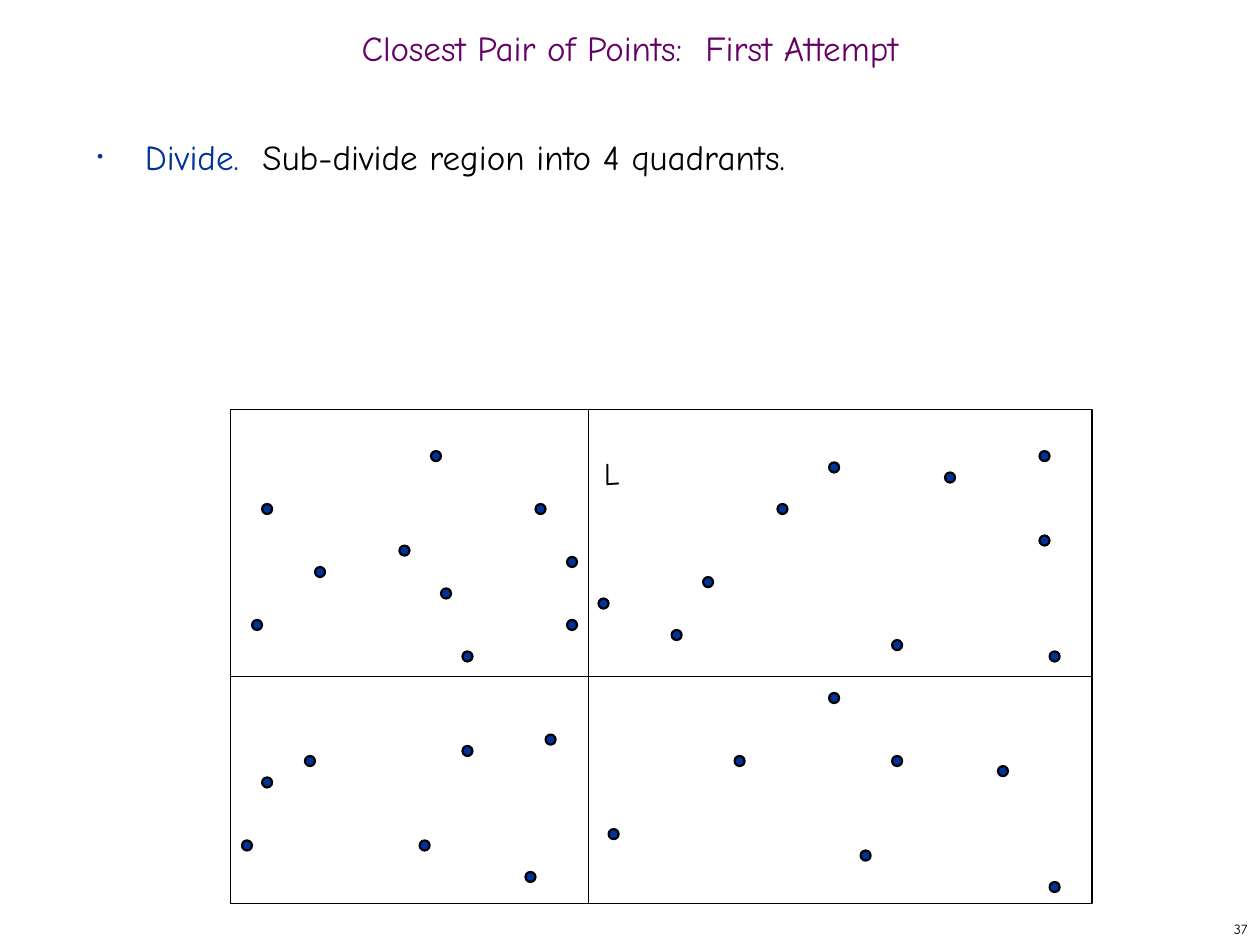
from lxml import etree
from pptx import Presentation
from pptx.dml.color import RGBColor
from pptx.enum.shapes import MSO_CONNECTOR, MSO_SHAPE
from pptx.enum.text import MSO_ANCHOR as Anchor, MSO_AUTO_SIZE as AutoSize, PP_ALIGN as Align
from pptx.oxml.ns import qn
from pptx.util import Inches, Pt

BLACK = RGBColor(0, 0, 0)
BLUE = RGBColor(0x00, 0x33, 0x99)
PURPLE = RGBColor(0x66, 0x00, 0x66)
FONT = "Comic Neue"
DOT_SIZE = 0.08
LEFT, TOP, RIGHT, BOTTOM = 1.83, 3.25, 8.67, 7.17
SPLIT_X, SPLIT_Y = 4.67, 5.37

POINTS = [
    (2.5, 4.5), (4.5, 4.42), (2.08, 4), (3.17, 4.33), (3.42, 3.58),
    (3.5, 4.67), (4.25, 4), (2, 4.92), (3.67, 5.17), (4.5, 4.92),
    (6.17, 4), (5.58, 4.58), (5.33, 5), (6.58, 3.67), (7.08, 5.08),
    (4.75, 4.75), (8.25, 4.25), (7.5, 3.75), (8.25, 3.58), (8.33, 5.17),
    (3.67, 5.92), (4.33, 5.83), (2.08, 6.17), (2.42, 6), (4.17, 6.92),
    (1.92, 6.67), (3.33, 6.67),
    (4.83, 6.58), (8.33, 7), (5.83, 6), (6.58, 5.5), (6.83, 6.75),
    (7.08, 6), (7.92, 6.08),
]


def place(shape, left, top, width, height, anchor):
    shape.left, shape.top = Inches(left), Inches(top)
    shape.width, shape.height = Inches(width), Inches(height)
    frame = shape.text_frame
    frame.word_wrap = True
    frame.auto_size = AutoSize.NONE
    frame.vertical_anchor = anchor
    return frame.paragraphs[0]


def add_run(paragraph, text, size, color):
    run = paragraph.add_run()
    run.text = text
    run.font.name = FONT
    run.font.size = Pt(size)
    run.font.color.rgb = color


presentation = Presentation()
presentation.slide_width = Inches(10)
presentation.slide_height = Inches(7.5)
slide = presentation.slides.add_slide(presentation.slide_layouts[1])
shapes = slide.shapes

title = place(shapes.title, 0, 0.17, 10, 0.5, Anchor.MIDDLE)
title.alignment = Align.CENTER
title.line_spacing = 0.7
add_run(title, "Closest Pair of Points:  First Attempt", 20, PURPLE)

body = place(slide.placeholders[1], 0.67, 1, 8.58, 5.92, Anchor.TOP)
body.line_spacing = Pt(26)
body.space_before = Pt(0)
properties = body._p.get_or_add_pPr()
properties.set("marL", str(Inches(0.38)))
properties.set("indent", str(Inches(-0.38)))
bullet_color = etree.SubElement(properties, qn("a:buClr"))
etree.SubElement(bullet_color, qn("a:srgbClr"), val=str(BLUE))
etree.SubElement(properties, qn("a:buSzPct"), val="50000")
etree.SubElement(properties, qn("a:buChar"), char="•")
add_run(body, "Divide.  ", 20, BLUE)
add_run(body, "Sub-divide region into 4 quadrants.", 20, BLACK)

region = shapes.add_shape(MSO_SHAPE.RECTANGLE, Inches(LEFT), Inches(TOP),
                          Inches(RIGHT - LEFT), Inches(BOTTOM - TOP))
region.shadow.inherit = False
region.fill.background()
region.line.color.rgb = BLACK
region.line.width = Pt(1)

for x, y in POINTS:
    dot = shapes.add_shape(MSO_SHAPE.OVAL, Inches(x), Inches(y),
                           Inches(DOT_SIZE), Inches(DOT_SIZE))
    dot.shadow.inherit = False
    dot.fill.solid()
    dot.fill.fore_color.rgb = BLUE
    dot.line.color.rgb = BLACK
    dot.line.width = Pt(1.25)

for x1, y1, x2, y2 in [(SPLIT_X, TOP, SPLIT_X, BOTTOM), (LEFT, SPLIT_Y, RIGHT, SPLIT_Y)]:
    divider = shapes.add_connector(MSO_CONNECTOR.STRAIGHT, Inches(x1), Inches(y1),
                                   Inches(x2), Inches(y2))
    divider.line.color.rgb = BLACK
    divider.line.width = Pt(1)
    etree.SubElement(divider._element.spPr, qn("a:effectLst"))

for text, size, alignment, anchor, box in [
    ("L", 18, Align.CENTER, Anchor.TOP, (4.58, 3.55, 0.55, 0.45)),
    ("37", 8, Align.RIGHT, Anchor.MIDDLE, (7.92, 7.25, 2.08, 0.25)),
]:
    label = place(shapes.add_textbox(0, 0, 0, 0), *box, anchor)
    label.alignment = alignment
    add_run(label, text, size, BLACK)

presentation.save("out.pptx")
